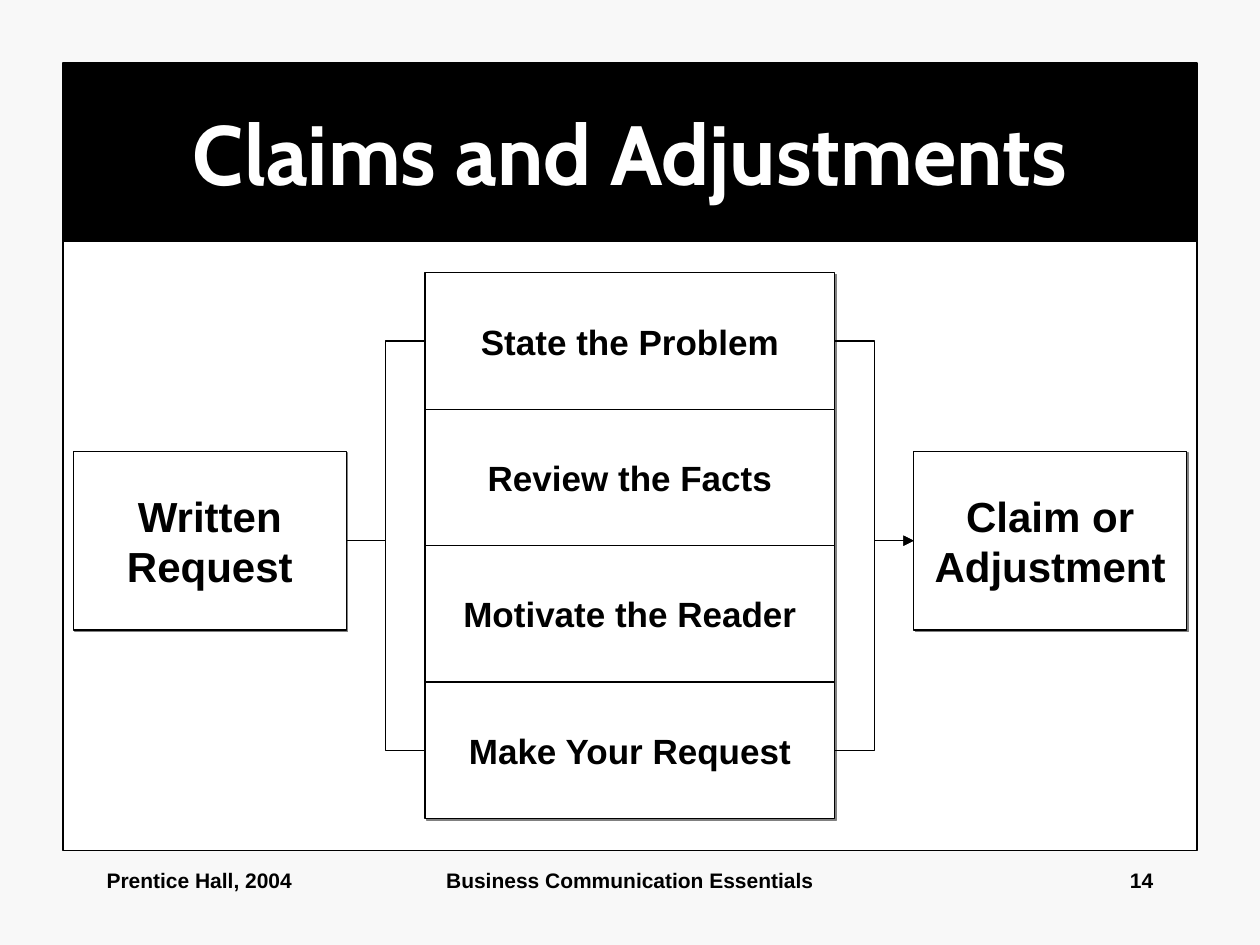
from lxml.etree import SubElement
from pptx import Presentation
from pptx.dml.color import RGBColor
from pptx.enum.shapes import MSO_CONNECTOR, MSO_SHAPE
from pptx.enum.text import MSO_ANCHOR, MSO_AUTO_SIZE, PP_ALIGN
from pptx.oxml import parse_xml
from pptx.oxml.ns import nsdecls, qn
from pptx.util import Cm, Pt

# Content
TITLE = "Claims and Adjustments"
REQUEST = ["Written", "Request"]
STEPS = ["State the Problem", "Review the Facts",
         "Motivate the Reader", "Make Your Request"]
OUTCOME = ["Claim or", "Adjustment"]
FOOTERS = [  # text, left, width, alignment
    ("Business Communication Essentials", 8.68, 8.04, PP_ALIGN.CENTER),
    ("14", 18.2, 5.3, PP_ALIGN.RIGHT),
    ("Prentice Hall, 2004", 1.9, 5.3, PP_ALIGN.LEFT),
]

# Layout in centimetres
SLIDE_W, SLIDE_H = 25.4, 19.05
MARGIN, FRAME_W = 1.27, 22.86
TITLE_H, PANEL_H = 3.6, 12.28
SIDE_X, SIDE_Y, SIDE_W, SIDE_H = 1.48, 9.1, 5.5, 3.6
STEP_Y, STEP_W, STEP_H = 5.5, 8.26, 2.75
STEP_X = (SLIDE_W - STEP_W) / 2
FOOTER_Y, FOOTER_H = 17.36, 1.27

TITLE_FONT = {"name": "Cabin", "size": Pt(48), "bold": True}
SIDE_FONT = {"name": "Arial", "size": Pt(24), "bold": True}
STEP_FONT = {**SIDE_FONT, "size": Pt(20)}
FOOTER_FONT = {**SIDE_FONT, "size": Pt(12)}
BLACK, WHITE, PALE = "000000", "FFFFFF", "F8F8F8"


def paint(color_format, color):
    color_format.rgb = RGBColor.from_string(color)


def style_box(box, fill):
    box.fill.solid()
    paint(box.fill.fore_color, fill)
    paint(box.line.color, BLACK)
    box.line.width = Pt(0.75)


def write(box, lines, font, color=BLACK, align=PP_ALIGN.CENTER,
          anchor=MSO_ANCHOR.MIDDLE, wrap=True):
    frame = box.text_frame
    frame.auto_size = MSO_AUTO_SIZE.NONE
    frame.word_wrap = wrap
    frame.vertical_anchor = anchor
    for index, line in enumerate(lines):
        paragraph = frame.paragraphs[0] if index == 0 else frame.add_paragraph()
        paragraph.text = line
        paragraph.alignment = align
        for name, value in font.items():
            setattr(paragraph.font, name, value)
        paint(paragraph.font.color, color)


def add_box(shapes, left, top, width, height):
    box = shapes.add_shape(MSO_SHAPE.RECTANGLE, Cm(left), Cm(top),
                           Cm(width), Cm(height))
    box.shadow.inherit = False
    style_box(box, WHITE)
    return box


def add_card(shapes, lines, font, *place):
    card = add_box(shapes, *place)
    write(card, lines, font, wrap=False)
    effects = card._element.spPr.find(qn("a:effectLst"))
    effects.append(parse_xml(
        f'<a:outerShdw {nsdecls("a")} dist="17780" dir="2700000" algn="ctr" '
        'rotWithShape="0"><a:srgbClr val="808080"/></a:outerShdw>'))
    return card


def link(shapes, start, end, arrow=False):
    """Elbow from the right side of start to the left side of end."""
    elbow = shapes.add_connector(
        MSO_CONNECTOR.ELBOW,
        start.left + start.width, start.top + start.height // 2,
        end.left, end.top + end.height // 2)
    elbow.begin_connect(start, 3)
    elbow.end_connect(end, 1)
    paint(elbow.line.color, BLACK)
    elbow.line.width = Pt(0.75)
    if arrow:
        SubElement(elbow.line._get_or_add_ln(), qn("a:tailEnd"), type="triangle")
    SubElement(elbow._element.spPr, qn("a:effectLst"))


def main():
    deck = Presentation()
    deck.slide_width, deck.slide_height = Cm(SLIDE_W), Cm(SLIDE_H)
    slide = deck.slides.add_slide(deck.slide_layouts[5])
    shapes = slide.shapes
    slide.background.fill.solid()
    paint(slide.background.fill.fore_color, PALE)

    # Title band and white panel
    title = shapes.title
    title.left, title.top = Cm(MARGIN), Cm(MARGIN)
    title.width, title.height = Cm(FRAME_W), Cm(TITLE_H)
    style_box(title, BLACK)
    write(title, [TITLE], TITLE_FONT, WHITE)
    add_box(shapes, MARGIN, MARGIN + TITLE_H, FRAME_W, PANEL_H)

    # Flow boxes
    outcome = add_card(shapes, OUTCOME, SIDE_FONT,
                       SLIDE_W - SIDE_X - SIDE_W, SIDE_Y, SIDE_W, SIDE_H)
    request = add_card(shapes, REQUEST, SIDE_FONT,
                       SIDE_X, SIDE_Y, SIDE_W, SIDE_H)
    steps = [add_card(shapes, [step], STEP_FONT,
                      STEP_X, STEP_Y + row * STEP_H, STEP_W, STEP_H)
             for row, step in enumerate(STEPS)]

    # Connectors to and from the first and last steps
    outer_steps = (steps[0], steps[-1])
    for step in outer_steps:
        link(shapes, request, step)
    for step in outer_steps:
        link(shapes, step, outcome, arrow=True)

    # Footer
    for text, left, width, align in FOOTERS:
        footer = shapes.add_textbox(Cm(left), Cm(FOOTER_Y), Cm(width), Cm(FOOTER_H))
        write(footer, [text], FOOTER_FONT, align=align, anchor=MSO_ANCHOR.TOP)

    deck.save("out.pptx")


if __name__ == "__main__":
    main()
